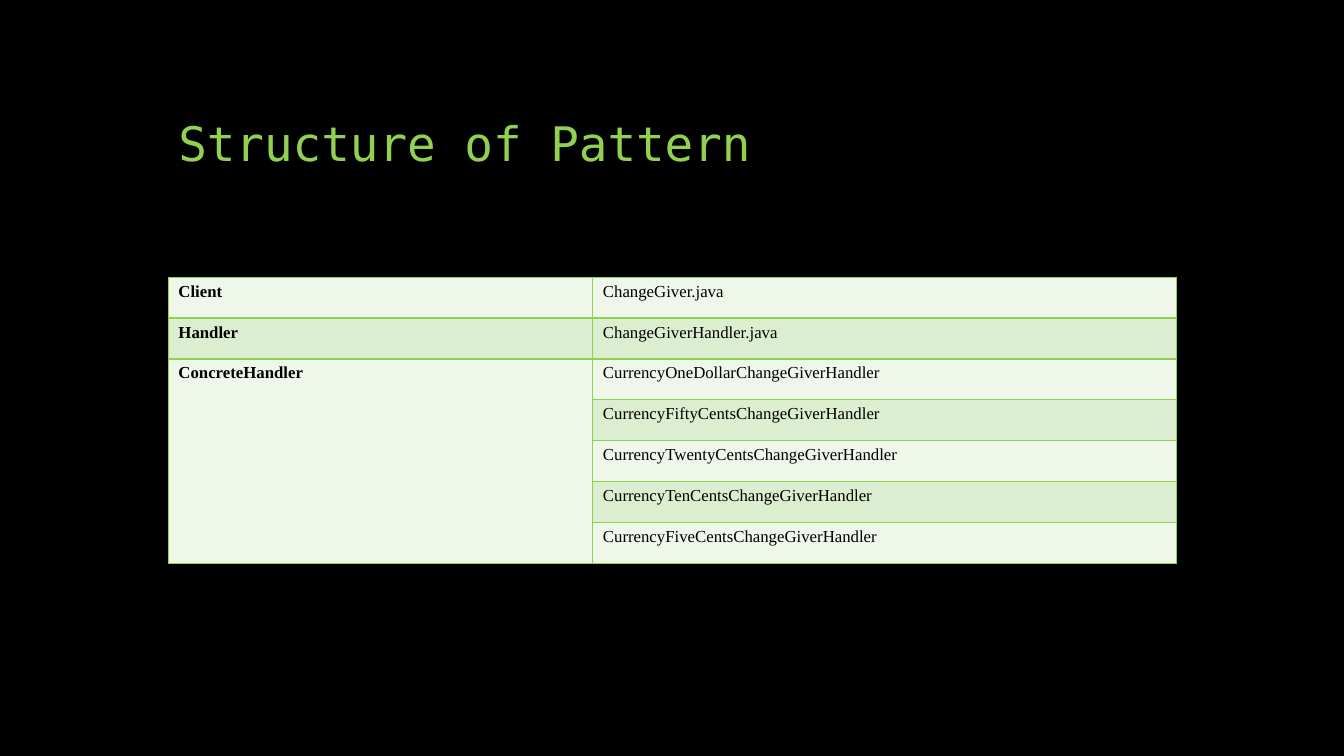
import pptx
import pptx.dml.color
import pptx.enum.text
import pptx.oxml.ns
import pptx.util
from lxml import etree

Inches = pptx.util.Inches

THEME = {
    "back": "000000", "accent": "92D050", "ink": "000000",
    "bands": ["EEF7E9", "DCEED0"],
    "head_font": "DejaVu Sans Mono", "head_size": 34,
    "body_font": "Times New Roman", "body_size": 12,
    "border": 1,
}

ROLES = [
    ("Client", ["ChangeGiver.java"]),
    ("Handler", ["ChangeGiverHandler.java"]),
    ("ConcreteHandler", [f"Currency{coin}ChangeGiverHandler" for coin in
                         ("OneDollar", "FiftyCents", "TwentyCents", "TenCents", "FiveCents")]),
]


def style(frame, face, size, color, bold=False):
    for run in frame.paragraphs[0].runs:
        run.font.name = face
        run.font.size = pptx.util.Pt(size)
        run.font.bold = bold
        run.font.color.rgb = pptx.dml.color.RGBColor.from_string(color)


def outline(cell):
    qn = pptx.oxml.ns.qn
    props = cell._tc.get_or_add_tcPr()
    for side in ("lnL", "lnR", "lnT", "lnB"):
        line = etree.SubElement(props, qn(f"a:{side}"), w=str(pptx.util.Pt(THEME["border"])))
        fill = etree.SubElement(line, qn("a:solidFill"))
        etree.SubElement(fill, qn("a:srgbClr"), val=THEME["accent"])


# Slide and background
deck = pptx.Presentation()
deck.slide_width, deck.slide_height = Inches(13.33), Inches(7.5)
slide = deck.slides.add_slide(deck.slide_layouts[6])
slide.background.fill.solid()
slide.background.fill.fore_color.rgb = pptx.dml.color.RGBColor.from_string(THEME["back"])

# Title
title = slide.shapes.add_textbox(Inches(1.67), Inches(0.5), Inches(10), Inches(1.25)).text_frame
title.word_wrap = True
title.vertical_anchor = pptx.enum.text.MSO_ANCHOR.BOTTOM
title.text = "Structure of Pattern"
title.paragraphs[0].line_spacing = 0.9
style(title, THEME["head_font"], THEME["head_size"], THEME["accent"])

# Table of roles and classes
count = sum(len(names) for role, names in ROLES)
table = slide.shapes.add_table(count, 2, Inches(1.67), Inches(2.75),
                               Inches(10), Inches(2.84)).table
table.first_row = False
table.horz_banding = False
table.columns[0].width, table.columns[1].width = Inches(4.21), Inches(5.79)

# Wording, with each role spanning its classes
top = 0
for role, names in ROLES:
    table.cell(top, 0).text = role
    for step, name in enumerate(names):
        table.cell(top + step, 1).text = name
    if len(names) > 1:
        table.cell(top, 0).merge(table.cell(top + len(names) - 1, 0))
    top += len(names)

# Borders, bands and type
for i, row in enumerate(table.rows):
    for j, cell in enumerate(row.cells):
        outline(cell)
        cell.fill.solid()
        cell.fill.fore_color.rgb = pptx.dml.color.RGBColor.from_string(THEME["bands"][i % 2])
        style(cell.text_frame, THEME["body_font"], THEME["body_size"], THEME["ink"], j == 0)

deck.save("out.pptx")
